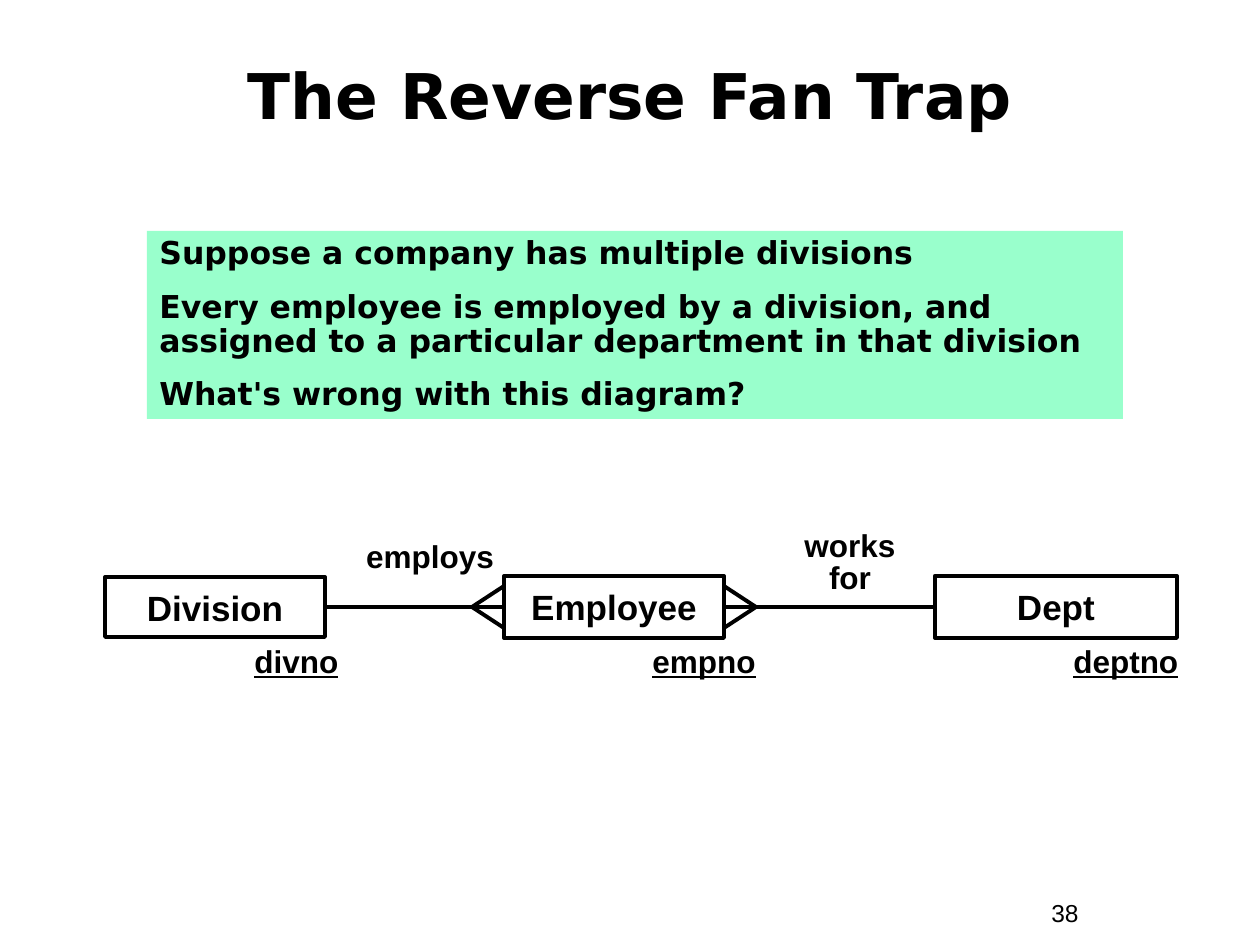
from lxml.etree import SubElement
from pptx import Presentation
from pptx.dml.color import RGBColor
from pptx.enum.shapes import MSO_CONNECTOR, MSO_SHAPE
from pptx.enum.text import MSO_ANCHOR, MSO_AUTO_SIZE, PP_ALIGN
from pptx.oxml.ns import qn
from pptx.util import Emu, Pt

BLACK = RGBColor(0x00, 0x00, 0x00)
MINT = RGBColor(0x99, 0xFF, 0xCC)
PX = 914400 / 126


def px(*lengths):
    return [Emu(round(length * PX)) for length in lengths]


def write(shape, lines, size, font="Arial", align=PP_ALIGN.LEFT, spacing=1.0, gap=0, bold=True):
    frame = shape.text_frame
    frame.text = "\n".join(lines)
    for index, paragraph in enumerate(frame.paragraphs):
        paragraph.alignment = align
        paragraph.line_spacing = spacing
        paragraph.space_before = Pt(gap if index else 0)
        paragraph.font.name = font
        paragraph.font.size = Pt(size)
        paragraph.font.bold = bold
        paragraph.font.color.rgb = BLACK
    return frame


presentation = Presentation()
presentation.slide_width, presentation.slide_height = px(1260, 945)
slide = presentation.slides.add_slide(presentation.slide_layouts[5])
shapes = slide.shapes

title = shapes.title
title.left, title.top, title.width, title.height = px(42, 42, 1176, 116)
frame = write(title, ["The Reverse Fan Trap"], 36, "DejaVu Sans", PP_ALIGN.CENTER, 0.85)
frame.vertical_anchor = MSO_ANCHOR.MIDDLE
frame.auto_size = MSO_AUTO_SIZE.NONE

question = shapes.add_shape(MSO_SHAPE.RECTANGLE, *px(147, 231, 976, 188))
question.shadow.inherit = False
question.fill.solid()
question.fill.fore_color.rgb = MINT
question.line.fill.background()
frame = write(question, [
    "Suppose a company has multiple divisions",
    "Every employee is employed by a division, and assigned to a particular department in that division",
    "What's wrong with this diagram?",
], 18, "DejaVu Sans", spacing=0.9, gap=11.2)
frame.vertical_anchor = MSO_ANCHOR.TOP
frame.word_wrap = True

# Entities
entities = []
for name, left, top, width, height in [
    ("Division", 105, 577, 220, 60),
    ("Employee", 504, 576, 220, 62),
    ("Dept", 935, 576, 242, 62),
]:
    entity = shapes.add_shape(MSO_SHAPE.RECTANGLE, *px(left, top, width, height))
    entity.shadow.inherit = False
    entity.fill.background()
    entity.line.color.rgb = BLACK
    entity.line.width = Pt(2.25)
    frame = write(entity, [name], 20, align=PP_ALIGN.CENTER)
    frame.vertical_anchor = MSO_ANCHOR.MIDDLE
    frame.word_wrap = False
    entities.append(entity)
division, employee, dept = entities

# Relationships, with a crow's foot on each side of Employee
lines = []
for start, end in [(division, employee), (employee, dept)]:
    relationship = shapes.add_connector(MSO_CONNECTOR.STRAIGHT, 0, 0, 0, 0)
    relationship.begin_connect(start, 3)
    relationship.end_connect(end, 1)
    lines.append(relationship)
for tip, side in [(472, 504), (756, 724)]:
    foot = shapes.add_group_shape()
    for toe in (586, 628):
        lines.append(foot.shapes.add_connector(MSO_CONNECTOR.STRAIGHT, *px(tip, 607, side, toe)))
for line in lines:
    line.line.color.rgb = BLACK
    line.line.width = Pt(2.25)
    SubElement(line._element.spPr, qn("a:effectLst"))

# Relationship names, keys and page number
for text, box, size, align, spacing, key, bold in [
    ("employs", (325, 537, 210, 45), 18, PP_ALIGN.CENTER, 0.85, False, True),
    ("works\vfor", (745, 526, 210, 77), 18, PP_ALIGN.CENTER, 0.85, False, True),
    ("divno", (242, 640, 147, 47), 18, PP_ALIGN.LEFT, 0.9, True, True),
    ("empno", (640, 640, 147, 47), 18, PP_ALIGN.LEFT, 0.9, True, True),
    ("deptno", (1061, 640, 147, 47), 18, PP_ALIGN.LEFT, 0.9, True, True),
    ("38", (1039, 892, 116, 43), 14, PP_ALIGN.LEFT, 1.0, False, False),
]:
    label = shapes.add_textbox(*px(*box))
    frame = write(label, [text], size, align=align, spacing=spacing, bold=bold)
    frame.word_wrap = True
    if key:
        frame.paragraphs[0].font.underline = True

presentation.save("out.pptx")
